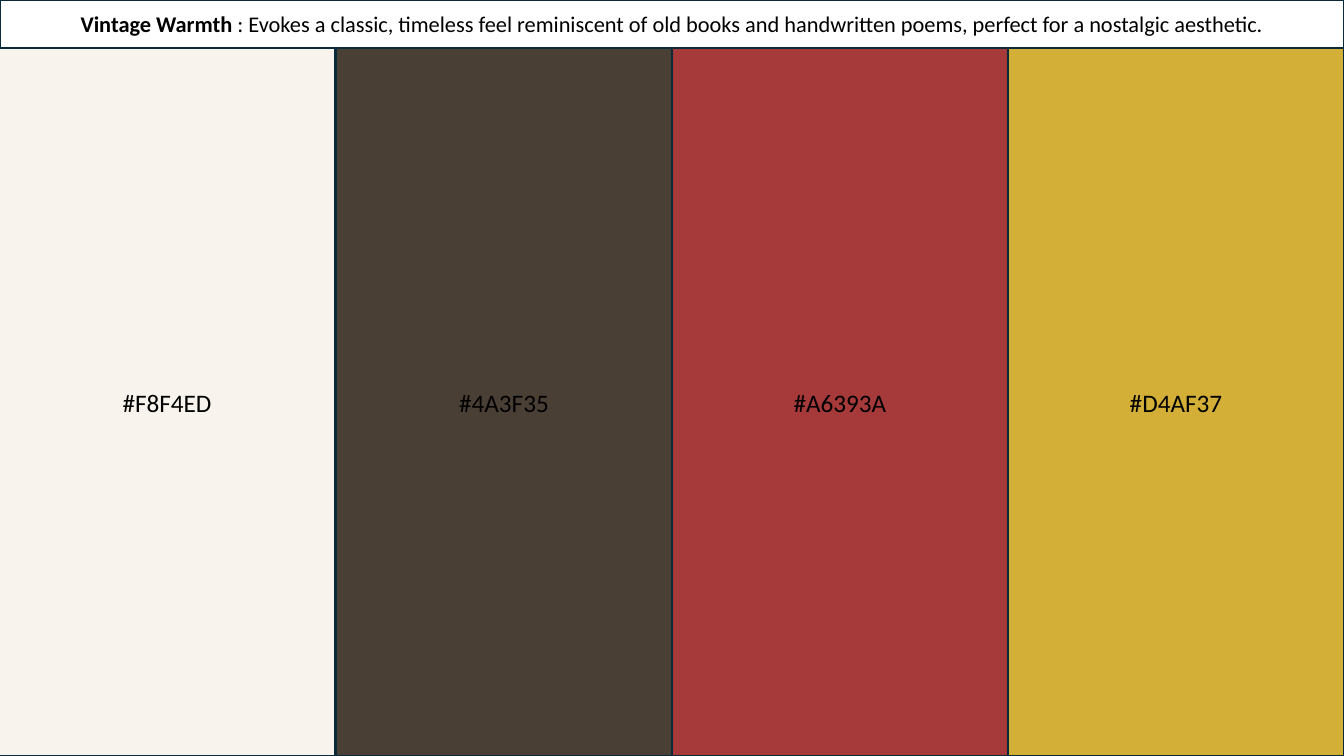
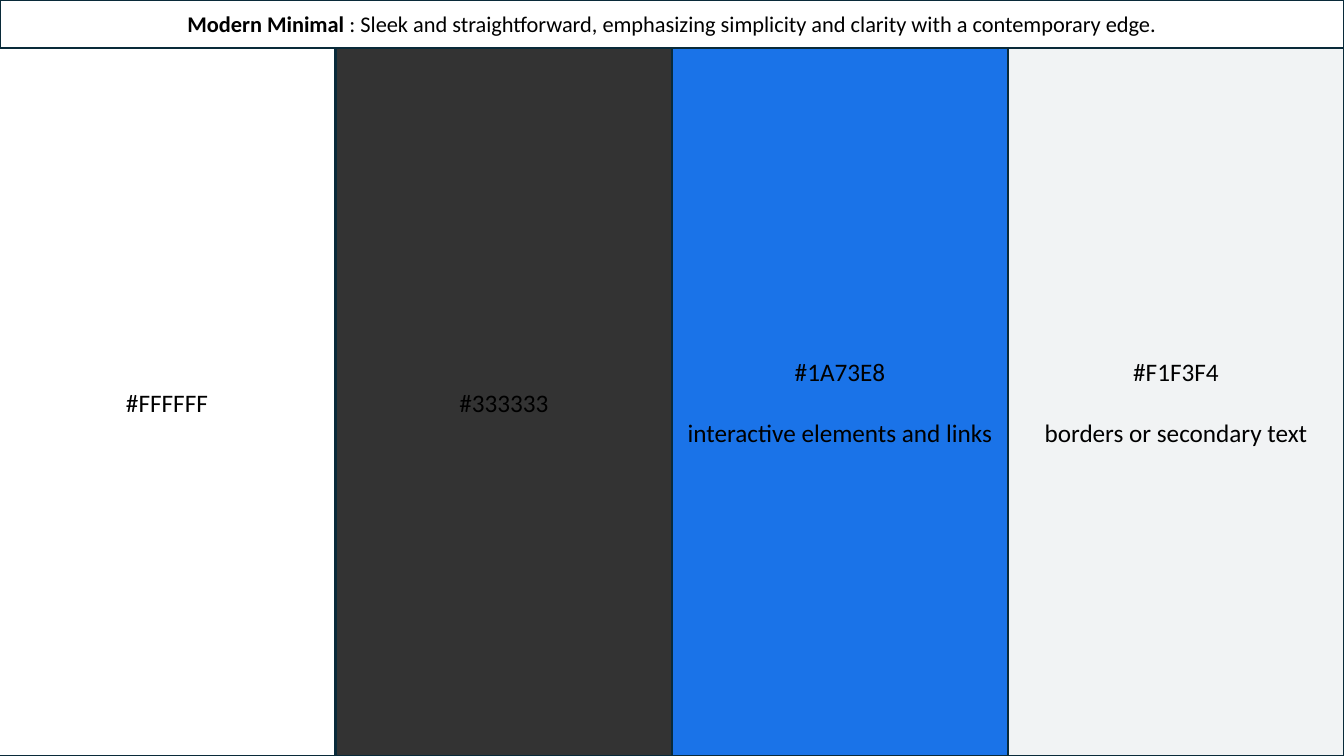
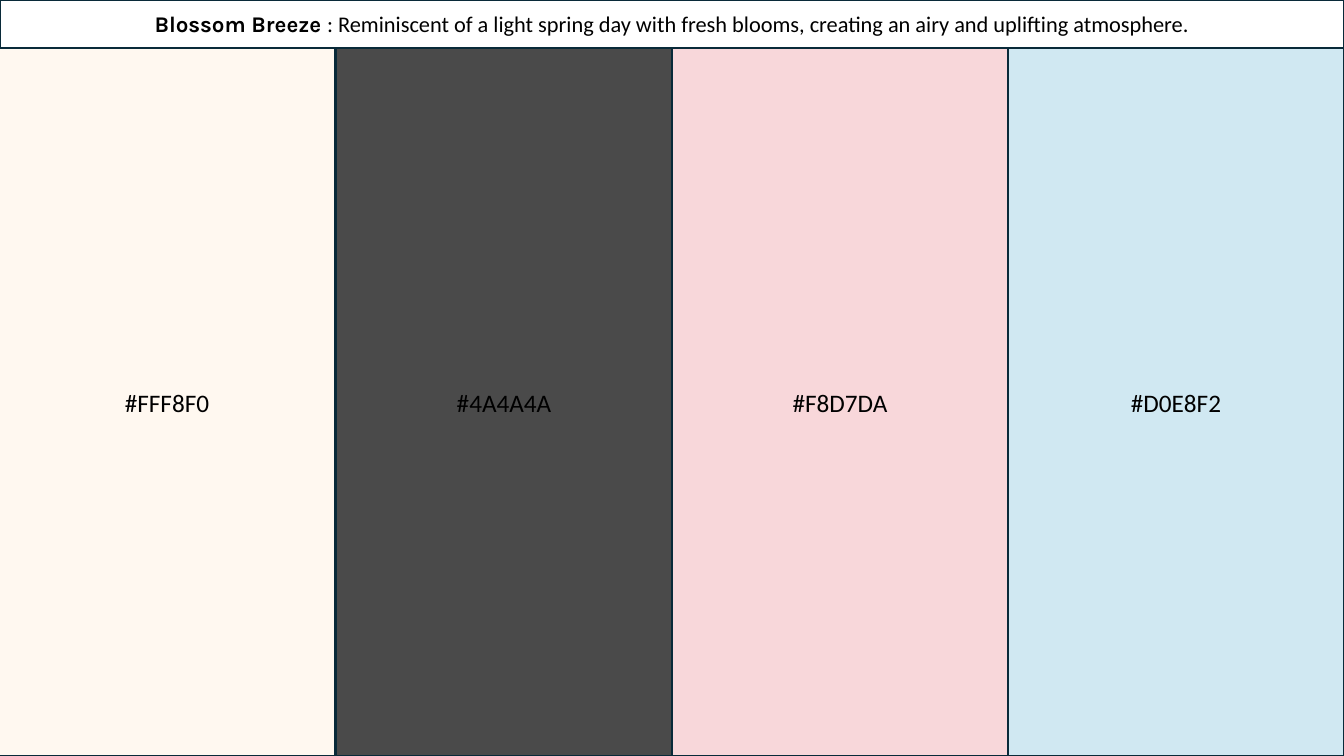
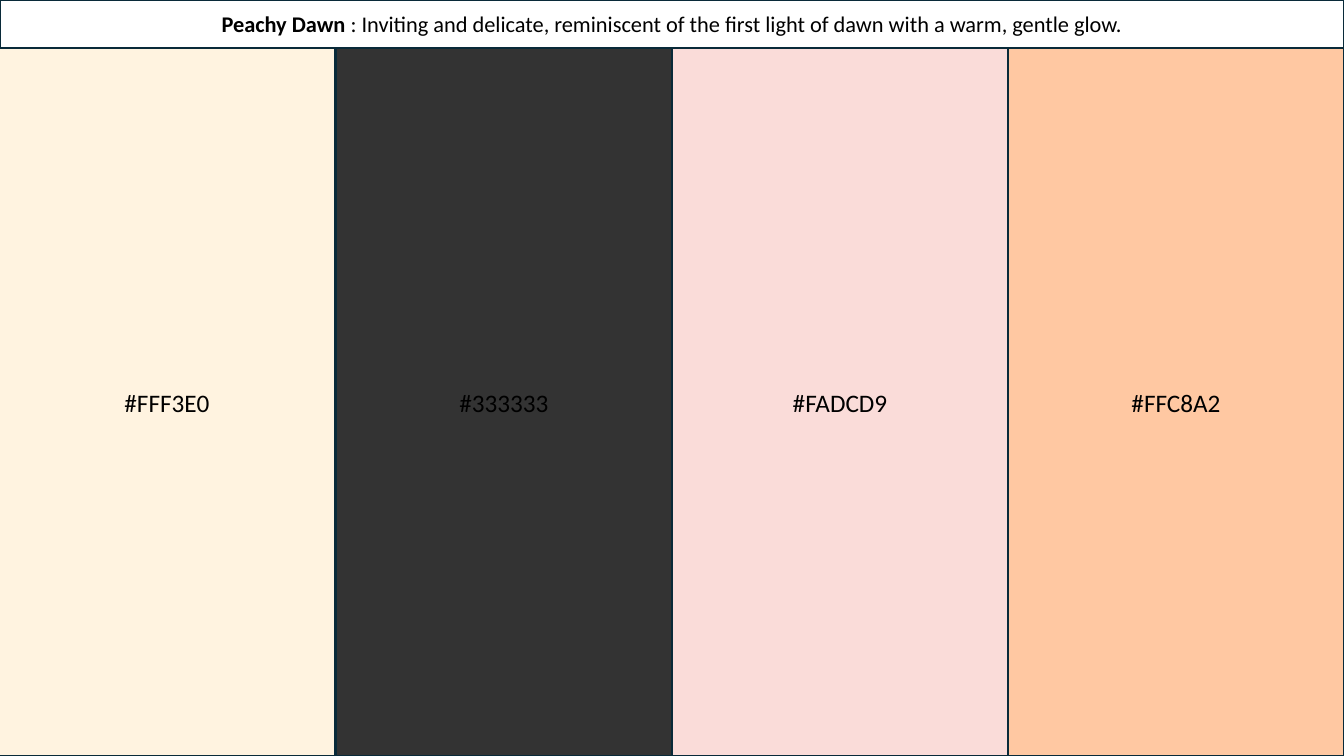
"""Build four colour palette slides, each a caption band over four swatches."""
from dataclasses import dataclass

from pptx import Presentation
from pptx.dml.color import RGBColor
from pptx.enum.shapes import MSO_SHAPE as SHAPE
from pptx.enum.text import MSO_ANCHOR as ANCHOR, PP_ALIGN as ALIGN
from pptx.util import Emu, Pt


@dataclass(frozen=True)
class Theme:
    """Colours, fonts and type sizes shared by every slide."""
    paper: str = "FFFFFF"
    ink: str = "000000"
    border: str = "092A39"
    font: str = "Calibri"
    accent_font: str = "Karla"
    border_width: float = 1.5
    caption_size: int = 16
    label_size: int = 18
    note_gap: int = 22


THEME = Theme()
SLIDE_W, SLIDE_H = 1344, 756
BAND_H = 48
COLUMNS = 4
COLUMN_W = SLIDE_W // COLUMNS
FIRST_LEFT = -1

PALETTES = [
    ("Vintage Warmth", THEME.font,
     "Evokes a classic, timeless feel reminiscent of old books and "
     "handwritten poems, perfect for a nostalgic aesthetic.",
     [("F8F4ED",), ("4A3F35",), ("A6393A",), ("D4AF37",)]),
    ("Modern Minimal", THEME.font,
     "Sleek and straightforward, emphasizing simplicity and clarity "
     "with a contemporary edge.",
     [("FFFFFF",), ("333333",),
      ("1A73E8", "interactive elements and links"),
      ("F1F3F4", "borders or secondary text")]),
    ("Blossom Breeze", THEME.accent_font,
     "Reminiscent of a light spring day with fresh blooms, creating an "
     "airy and uplifting atmosphere.",
     [("FFF8F0",), ("4A4A4A",), ("F8D7DA",), ("D0E8F2",)]),
    ("Peachy Dawn", THEME.font,
     "Inviting and delicate, reminiscent of the first light of dawn with "
     "a warm, gentle glow.",
     [("FFF3E0",), ("333333",), ("FADCD9",), ("FFC8A2",)]),
]


def px(n):
    """Turn whole pixels into EMU."""
    return Emu(round(n * 12192000 / SLIDE_W))


def add_box(slide, left, top, width, height, fill):
    """Add a bordered rectangle and return its text frame."""
    s = slide.shapes.add_shape(
        SHAPE.RECTANGLE, px(left), px(top), px(width), px(height))
    s.shadow.inherit = False
    s.fill.solid()
    s.fill.fore_color.rgb = RGBColor.from_string(fill)
    s.line.color.rgb = RGBColor.from_string(THEME.border)
    s.line.width = Pt(THEME.border_width)
    tf = s.text_frame
    tf.word_wrap = True
    tf.vertical_anchor = ANCHOR.MIDDLE
    return tf


def add_run(p, text, **values):
    """Add an ink-coloured run with the given font values."""
    r = p.add_run()
    r.text = text
    for name, value in ({"name": THEME.font} | values).items():
        setattr(r.font, name, value)
    r.font.color.rgb = RGBColor.from_string(THEME.ink)


def add_caption(slide, name, name_font, mood):
    """Add the top band with the palette's name and mood."""
    tf = add_box(slide, 0, 0, SLIDE_W, BAND_H, THEME.paper)
    p = tf.paragraphs[0]
    p.alignment = ALIGN.CENTER
    size = Pt(THEME.caption_size)
    add_run(p, f"{name} ", name=name_font, size=size, bold=True)
    add_run(p, f": {mood}", size=size, bold=False)


def add_swatch(slide, column, color, *notes):
    """Add one colour column labelled with its code and any notes."""
    left = column * COLUMN_W if column else FIRST_LEFT
    tf = add_box(slide, left, BAND_H, COLUMN_W, SLIDE_H - BAND_H, color)
    for i, text in enumerate((f"#{color}", *notes)):
        p = tf.add_paragraph() if i else tf.paragraphs[0]
        p.alignment = ALIGN.CENTER
        if i:
            p.space_before = Pt(THEME.note_gap)
        add_run(p, text, size=Pt(THEME.label_size))


def add_palette(prs, name, name_font, mood, swatches):
    """Add a slide showing one palette."""
    slide = prs.slides.add_slide(prs.slide_layouts[6])
    add_caption(slide, name, name_font, mood)
    for column, swatch in enumerate(swatches):
        add_swatch(slide, column, *swatch)


def main():
    """Build and save the presentation."""
    prs = Presentation()
    prs.slide_width, prs.slide_height = px(SLIDE_W), px(SLIDE_H)
    for palette in PALETTES:
        add_palette(prs, *palette)
    prs.save("out.pptx")


if __name__ == "__main__":
    main()
